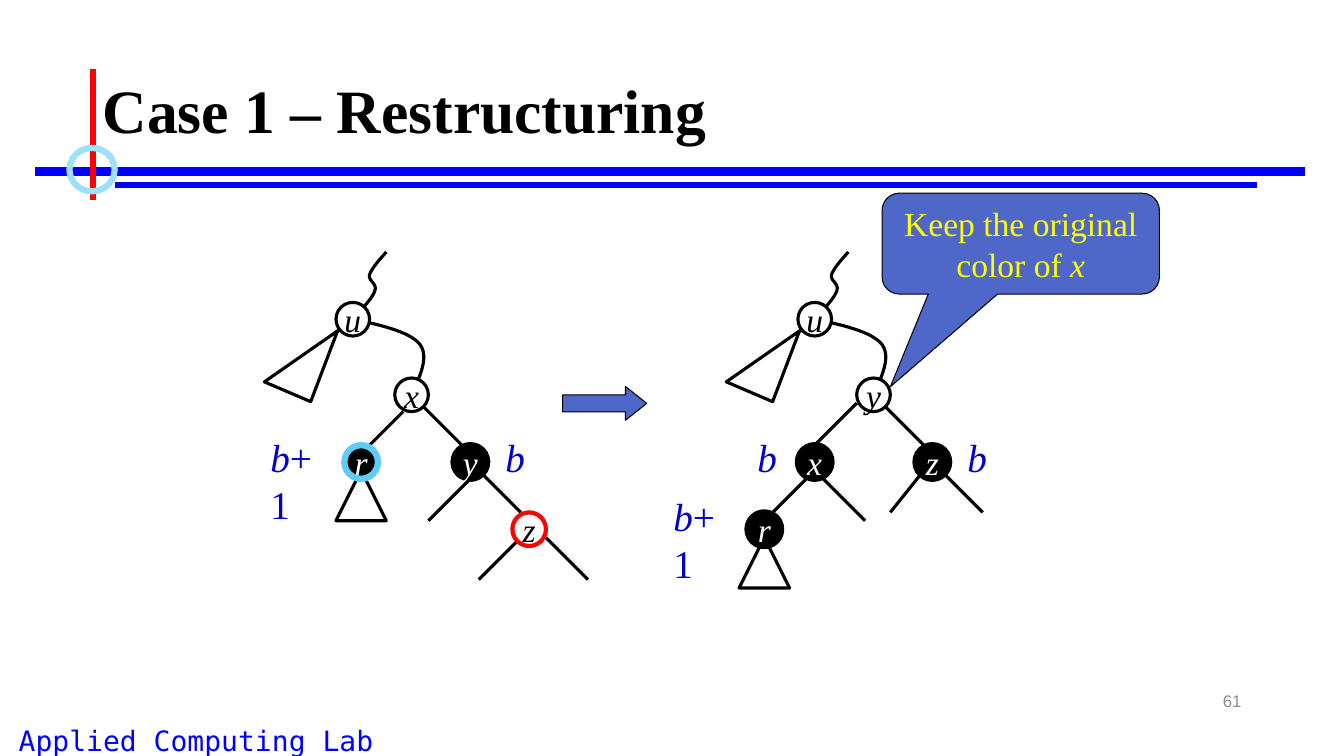
from pptx import Presentation
from pptx.dml.color import RGBColor
from pptx.enum.shapes import MSO_CONNECTOR as Connector, MSO_SHAPE as Shape
from pptx.enum.text import MSO_ANCHOR as Anchor, PP_ALIGN as Align
from pptx.oxml.ns import qn
from pptx.util import Cm, Pt
from lxml.etree import SubElement

# Content
TITLE = "Case 1 – Restructuring"
LAB = "Applied Computing Lab"
PAGE = "61"
ADVICE = [("Keep the original color of ", False), ("x", True)]
B, B_PLUS_1 = [("b", True)], [("b", True), ("+1", False)]

SERIF, MONO, SANS = "Times New Roman", "DejaVu Sans Mono", "Arial"
BLACK, WHITE, BLUE, RED = "000000", "FFFFFF", "0000FF", "FF0000"
ACCENT, YELLOW, LABEL_BLUE = "4E67C8", "FFFF00", "0000CC"
GREY, PALE_RING, RING = "8C8C8C", "9EE0F8", "5ECCF3"

# Node styles: fill, line colour, line width, text colour
OPEN = (WHITE, BLACK, 2.25, BLACK)
SOLID = (BLACK, BLACK, 4.5, WHITE)
RINGED = (BLACK, RING, 4.5, WHITE)
RED_RING = (WHITE, RED, 3, BLACK)

# Tree coordinates are grid steps of a twelfth of an inch
GRID = 2.54 / 12
NODE = 4
CURVES = [  # start point, then cubic segments: two controls and an end
    [(46, 30),
     (45.1, 31), (44.3, 31.9), (44, 32.7),
     (43.8, 33.5), (45, 33.7), (44.6, 34.7),
     (44.3, 35.5), (43.2, 36.7), (42, 38)],
    [(42, 38),
     (45.4, 38.7), (48.8, 39.5), (50, 41),
     (51.1, 42.5), (50, 44.8), (49, 47)],
]
SHARED_EDGES = [(42, 38, 37, 42), (49, 47, 55, 53), (57, 56, 62, 61)]
TREES = [
    {"shift": 0,
     "edges": [(48, 49, 44, 53), (56, 57, 51, 62),
               (62, 64, 57, 69), (65, 64, 70, 69)],
     "subtree": (40, 56),
     "nodes": [("u", 42, 38, OPEN), ("x", 49, 47, OPEN), ("r", 43, 55, RINGED),
               ("y", 56, 55, SOLID), ("z", 63, 63, RED_RING)],
     "labels": [(B_PLUS_1, 31, 51), (B, 59, 51)]},
    {"shift": 55,
     "edges": [(47, 48, 42, 53), (41, 57, 37, 61),
               (43, 57, 48, 62), (55, 56, 51, 61)],
     "subtree": (33, 64),
     "nodes": [("u", 42, 38, OPEN), ("y", 49, 47, OPEN), ("x", 42, 55, SOLID),
               ("z", 56, 55, SOLID), ("r", 36, 63, SOLID)],
     "labels": [(B, 34, 51), (B_PLUS_1, 24, 58), (B, 59, 51)]},
]

# Header rules: ends in cm, colour, width
RULES = [((0.89, 4.32, 32.89, 4.32), BLUE, 6),
         ((2.9, 4.67, 31.67, 4.67), BLUE, 4.5),
         ((2.34, 1.73, 2.34, 5.05), RED, 4.5)]


def color(hex_value):
    return RGBColor.from_string(hex_value)


def cms(*values):
    return [Cm(value) for value in values]


def write(shape, runs, size, hex_value, font=SERIF, align=Align.CENTER,
          anchor=Anchor.MIDDLE, wrap=False, bold=False):
    frame = shape.text_frame
    for name, value in {"word_wrap": wrap, "vertical_anchor": anchor}.items():
        setattr(frame, name, value)
    paragraph = frame.paragraphs[0]
    paragraph.alignment = align
    for text, italic in runs:
        run = paragraph.add_run()
        run.text = text
        run.font.color.rgb = color(hex_value)
        style = {"name": font, "size": Pt(size), "italic": italic, "bold": bold}
        for name, value in style.items():
            setattr(run.font, name, value)


def paint(shape, fill, line, width):
    shape.shadow.inherit = False
    if fill:
        shape.fill.solid()
        shape.fill.fore_color.rgb = color(fill)
    else:
        shape.fill.background()
    shape.line.color.rgb = color(line)
    shape.line.width = Pt(width)


def add_figure(shapes, kind, box, fill, line, width, adjust=()):
    figure = shapes.add_shape(kind, *cms(*box))
    paint(figure, fill, line, width)
    for index, value in enumerate(adjust):
        figure.adjustments[index] = value
    return figure


def add_line(shapes, ends, hex_value, width):
    line = shapes.add_connector(Connector.STRAIGHT, *cms(*ends))
    line.line.color.rgb = color(hex_value)
    line.line.width = Pt(width)
    SubElement(line._element.spPr, qn("a:effectLst"))


def add_curve(shapes, points, steps=12):
    outline = [points[0]]
    for i in range(0, len(points) - 1, 3):
        p0, p1, p2, p3 = points[i:i + 4]
        for t in (step / steps for step in range(1, steps + 1)):
            s = 1 - t
            outline.append(tuple(
                s**3 * a + 3 * s * s * t * b + 3 * s * t * t * c + t**3 * d
                for a, b, c, d in zip(p0, p1, p2, p3)))
    outline = [cms(x * GRID, y * GRID) for x, y in outline]
    builder = shapes.build_freeform(*outline[0])
    builder.add_line_segments(outline[1:], close=False)
    paint(builder.convert_to_shape(), None, BLACK, 2.25)


def draw_tree(shapes, tree):
    shift = tree["shift"]

    def box(x, y, width, height):
        return [v * GRID for v in (x + shift, y, width, height)]

    for points in CURVES:
        add_curve(shapes, [(x + shift, y) for x, y in points])
    for x1, y1, x2, y2 in SHARED_EDGES + tree["edges"]:
        ends = [v * GRID for v in (x1 + shift, y1, x2 + shift, y2)]
        add_line(shapes, ends, BLACK, 2.25)
    add_figure(shapes, Shape.ISOSCELES_TRIANGLE, box(*tree["subtree"], 6, 6),
               WHITE, BLACK, 2.25)
    sibling = add_figure(shapes, Shape.ISOSCELES_TRIANGLE, box(33, 38, 6, 9),
                         WHITE, BLACK, 2.25, [0.94])
    sibling.rotation = 23.1
    for name, x, y, (fill, line, width, ink) in tree["nodes"]:
        corner = (x - NODE / 2, y - NODE / 2)
        node = add_figure(shapes, Shape.OVAL, box(*corner, NODE, NODE),
                          fill, line, width)
        write(node, [(name, True)], 24, ink)
    for runs, x, y in tree["labels"]:
        label = shapes.add_textbox(*cms(*box(x, y, 4.8 * len(runs), 6.8)))
        write(label, runs, 28, LABEL_BLUE, align=Align.LEFT, anchor=Anchor.TOP)


def main():
    deck = Presentation()
    deck.slide_width, deck.slide_height = cms(33.87, 19.05)
    slide = deck.slides.add_slide(deck.slide_layouts[5])
    shapes = slide.shapes

    # Header and footer
    title = shapes.title
    place = dict(zip(("left", "top", "width", "height"),
                     cms(2.33, 1.01, 29.21, 3.68)))
    for name, value in place.items():
        setattr(title, name, value)
    write(title, [(TITLE, False)], 44, BLACK, align=Align.LEFT, wrap=True, bold=True)
    title.text_frame.paragraphs[0].line_spacing = 0.9
    for ends, hex_value, width in RULES:
        add_line(shapes, ends, hex_value, width)
    add_figure(shapes, Shape.OVAL, (1.75, 3.73, 1.14, 1.09), None, PALE_RING, 4.5)
    lab = shapes.add_textbox(*cms(0, 18.11, 9.88, 0.94))
    write(lab, [(LAB, False)], 20, BLUE, MONO, anchor=Anchor.TOP)
    page = shapes.add_textbox(*cms(23.92, 17.15, 7.62, 1.01))
    write(page, [(PAGE, False)], 12, GREY, SANS, Align.RIGHT, wrap=True)

    # Trees before and after
    for tree in TREES:
        draw_tree(shapes.add_group_shape().shapes, tree)

    # Arrow and callout
    add_figure(shapes, Shape.RIGHT_ARROW, (14.18, 9.74, 2.12, 0.85),
               ACCENT, BLACK, 0.75, [0.5, 0.63])
    advice = add_figure(shapes, Shape.ROUNDED_RECTANGULAR_CALLOUT,
                        (22.23, 4.87, 6.99, 2.54), ACCENT, BLACK, 0.75,
                        [-0.47, 1.42, 0.17])
    write(advice, ADVICE, 24, YELLOW, anchor=Anchor.TOP, wrap=True)
    deck.save("out.pptx")


if __name__ == "__main__":
    main()
